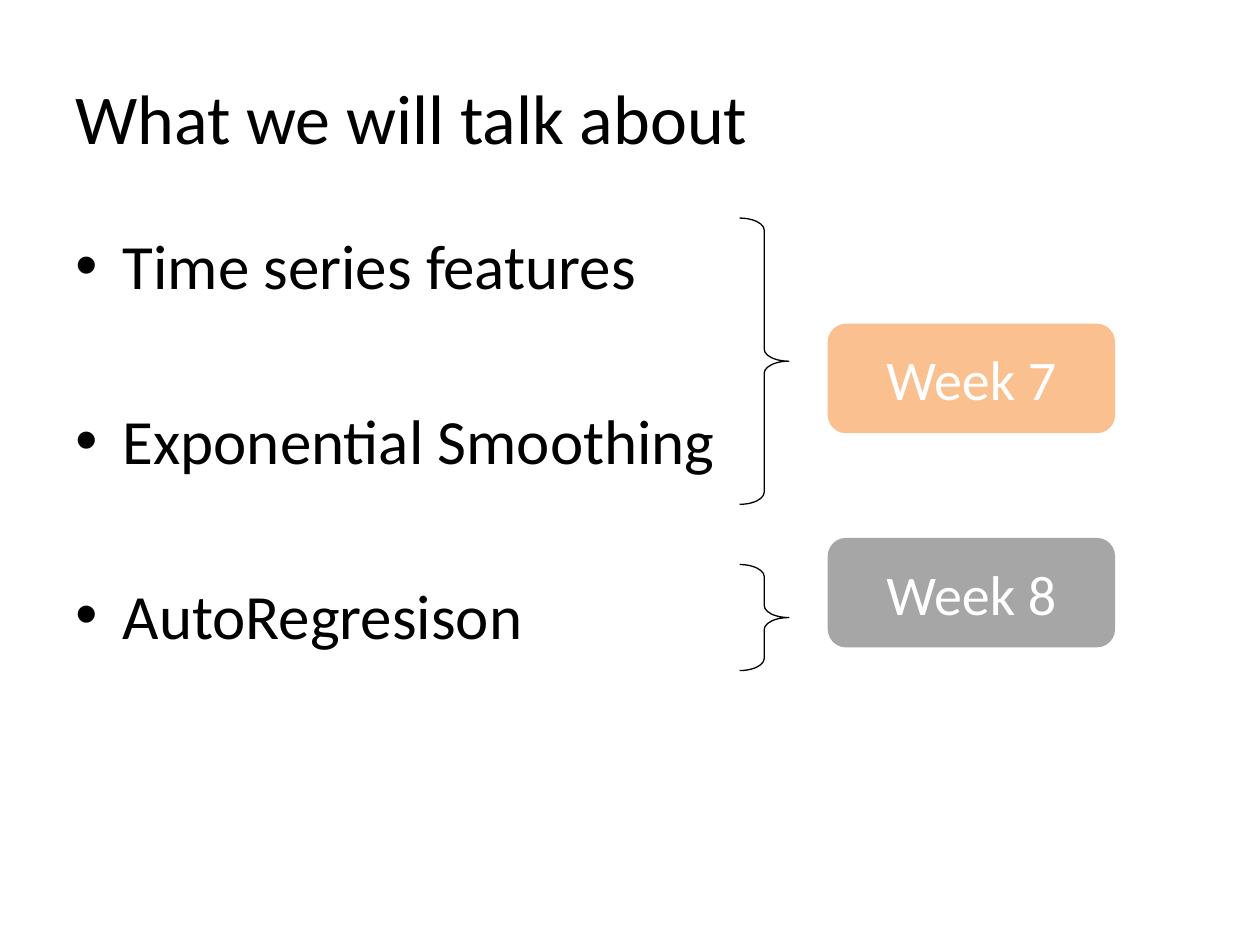
"""Build the agenda slide that maps course topics to weeks."""
from dataclasses import dataclass

from lxml import etree
from pptx import Presentation
from pptx.dml.color import RGBColor
from pptx.enum.shapes import MSO_SHAPE
from pptx.enum.text import MSO_ANCHOR, PP_ALIGN
from pptx.oxml.ns import qn
from pptx.slide import Slide
from pptx.text.text import Font
from pptx.util import Pt

BRACE, ROUNDED = MSO_SHAPE.RIGHT_BRACE, MSO_SHAPE.ROUNDED_RECTANGLE
LEFT, CENTER = PP_ALIGN.LEFT, PP_ALIGN.CENTER
MIDDLE = MSO_ANCHOR.MIDDLE

BLACK = RGBColor(0x00, 0x00, 0x00)
WHITE = RGBColor(0xFF, 0xFF, 0xFF)
ORANGE = RGBColor(0xFA, 0xC0, 0x90)
GRAY = RGBColor(0xA6, 0xA6, 0xA6)

FONT = "Calibri"
MARGIN, CONTENT_WIDTH = 36, 648
INDENT = 27
TOPIC_GAP = 56.6
BRACE_LEFT, BRACE_WIDTH = 422.6, 28.2
WEEK_LEFT, WEEK_WIDTH, WEEK_HEIGHT = 473, 164.2, 62.6

TOPICS = ("Time series features", "Exponential Smoothing", "AutoRegresison")


@dataclass(frozen=True)
class Week:
    label: str
    color: RGBColor
    top: float
    brace_top: float
    brace_height: float


WEEKS = (
    Week("Week 7", ORANGE, 185, 124.6, 163.6),
    Week("Week 8", GRAY, 307.4, 322.6, 60.6),
)


def style_font(font: Font, size: float, color: RGBColor) -> None:
    """Apply the slide's typeface with a size and colour."""
    font.name = FONT
    font.size = Pt(size)
    font.color.rgb = color


def fill_title(slide: Slide, text: str) -> None:
    """Place and format the title."""
    title = slide.shapes.title
    title.left, title.top = Pt(MARGIN), Pt(21.6)
    title.width, title.height = Pt(CONTENT_WIDTH), Pt(90)
    title.text_frame.text = text
    title.text_frame.vertical_anchor = MIDDLE
    heading = title.text_frame.paragraphs[0]
    heading.alignment = LEFT
    style_font(heading.runs[0].font, 40, BLACK)


def add_topics(slide: Slide) -> None:
    """Add the bulleted list of topics."""
    topics = slide.shapes.add_textbox(Pt(MARGIN), Pt(126), Pt(CONTENT_WIDTH), Pt(356.4))
    frame = topics.text_frame
    frame.word_wrap = True
    frame.text = "\n".join(TOPICS)
    for index, topic in enumerate(frame.paragraphs):
        topic.space_before = Pt(TOPIC_GAP if index else 0)
        properties = topic._p.get_or_add_pPr()
        properties.set("marL", str(Pt(INDENT)))
        properties.set("indent", str(-Pt(INDENT)))
        etree.SubElement(properties, qn("a:buFont")).set("typeface", "Arial")
        etree.SubElement(properties, qn("a:buChar")).set("char", "•")
        style_font(topic.runs[0].font, 36, BLACK)


def add_brace(slide: Slide, week: Week) -> None:
    """Add the brace that groups a week's topics."""
    brace = slide.shapes.add_shape(
        BRACE, Pt(BRACE_LEFT), Pt(week.brace_top), Pt(BRACE_WIDTH), Pt(week.brace_height)
    )
    brace.adjustments[0] = 0.245
    brace.shadow.inherit = False
    brace.fill.background()
    brace.line.color.rgb = BLACK
    brace.line.width = Pt(0.75)


def add_week(slide: Slide, week: Week) -> None:
    """Add the coloured label of a week."""
    label = slide.shapes.add_shape(
        ROUNDED, Pt(WEEK_LEFT), Pt(week.top), Pt(WEEK_WIDTH), Pt(WEEK_HEIGHT)
    )
    label.shadow.inherit = False
    label.fill.solid()
    label.fill.fore_color.rgb = week.color
    label.line.fill.background()
    label.text_frame.text = week.label
    label.text_frame.vertical_anchor = MIDDLE
    caption = label.text_frame.paragraphs[0]
    caption.alignment = CENTER
    style_font(caption.runs[0].font, 32, WHITE)


def main() -> None:
    """Assemble and save the slide."""
    presentation = Presentation()
    presentation.slide_width, presentation.slide_height = Pt(720), Pt(540)
    slide = presentation.slides.add_slide(presentation.slide_layouts[5])
    fill_title(slide, "What we will talk about")
    add_topics(slide)
    for week in WEEKS:
        add_brace(slide, week)
    for week in WEEKS:
        add_week(slide, week)
    presentation.save("out.pptx")


if __name__ == "__main__":
    main()
